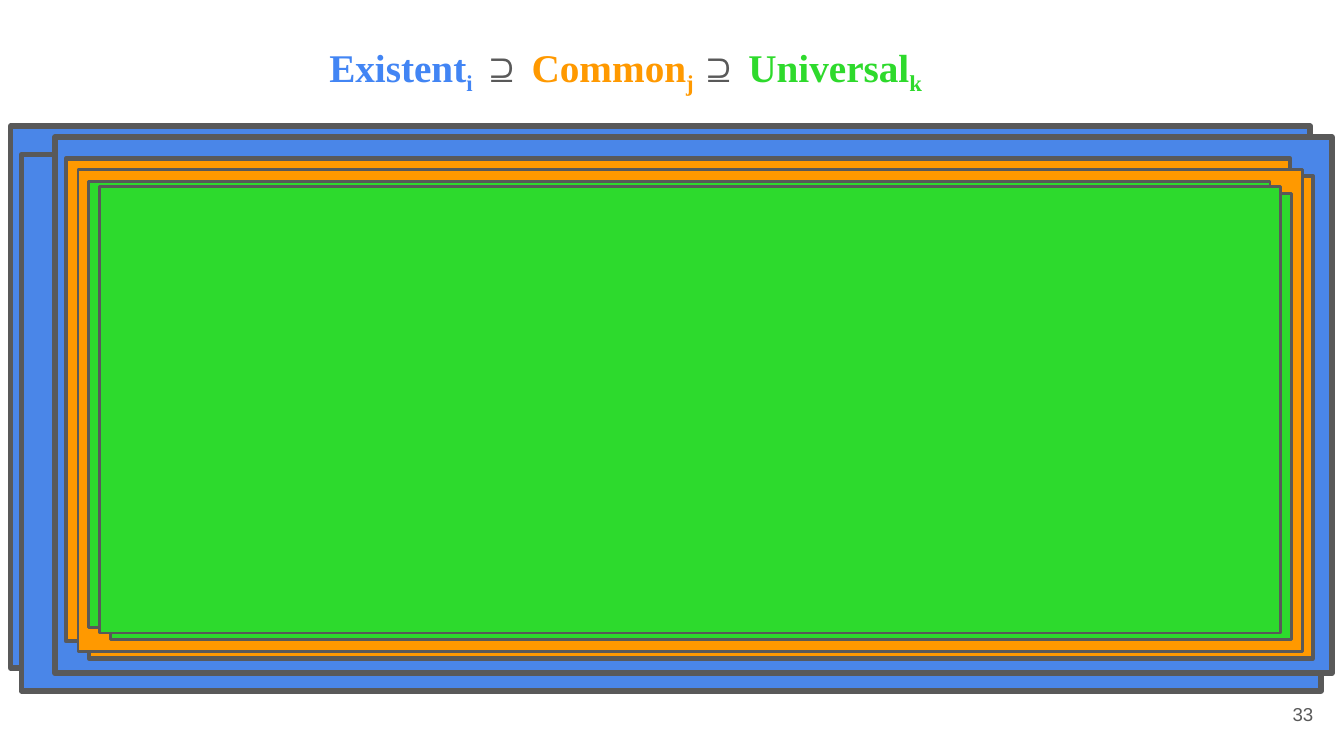
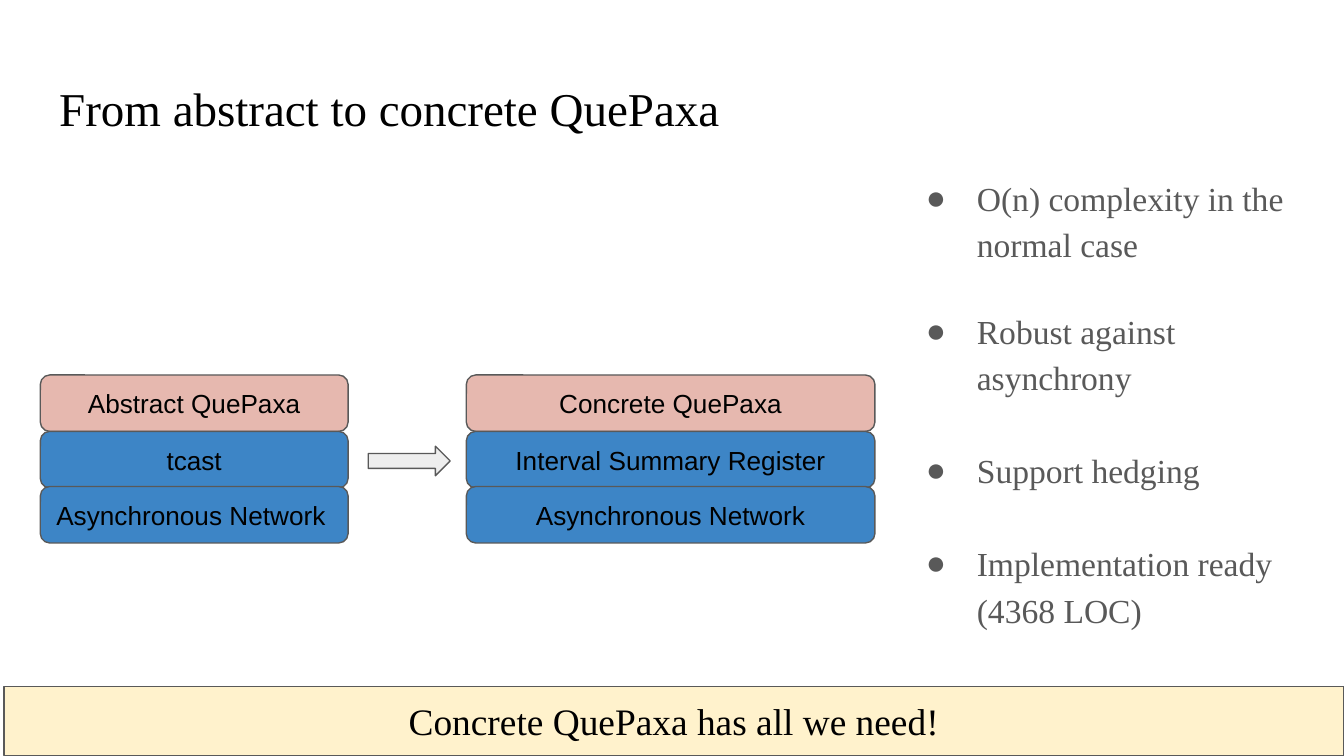
from lxml import etree
from pptx import Presentation
from pptx.dml.color import RGBColor
from pptx.enum.shapes import MSO_SHAPE as SHAPE
from pptx.enum.text import MSO_ANCHOR as ANCHOR, MSO_AUTO_SIZE as AUTO, PP_ALIGN as ALIGN
from pptx.oxml.ns import qn
from pptx.util import Pt

PX = 9144  # 100 px to the inch
SERIF, SANS = "Times New Roman", "Arial"
BLACK = RGBColor(0x00, 0x00, 0x00)
GREY = RGBColor(0x59, 0x59, 0x59)
PALE_GREY = RGBColor(0xEE, 0xEE, 0xEE)
CREAM = RGBColor(0xFF, 0xF2, 0xCC)
PINK = RGBColor(0xE6, 0xB8, 0xAF)
STACK_BLUE = RGBColor(0x3D, 0x85, 0xC6)
SET_BLUE = RGBColor(0x4A, 0x86, 0xE8)
SET_GREEN = RGBColor(0x2D, 0xDA, 0x2D)
ORANGE = RGBColor(0xFF, 0x99, 0x00)
TEXT_BLUE = RGBColor(0x42, 0x85, 0xF4)
TEXT_GREEN = RGBColor(0x2E, 0xDA, 0x2C)


def write(tf, text, size, font=SERIF, color=BLACK, bold=None, sub=False,
          align=ALIGN.LEFT, anchor=ANCHOR.TOP):
    """Append a run to the last paragraph and set up the frame around it."""
    tf.word_wrap, tf.auto_size, tf.vertical_anchor = True, AUTO.NONE, anchor
    tf.margin_left = tf.margin_right = tf.margin_top = tf.margin_bottom = 10 * PX
    p = tf.paragraphs[-1]
    p.alignment = align
    for i, line in enumerate(text.split("\n")):
        if i:
            p.add_line_break()
        r = p.add_run()
        r.text = line
        r.font.size, r.font.name, r.font.bold = Pt(size), font, bold
        r.font.color.rgb = color
        if sub:
            r.font._element.set("baseline", "-25000")


def add_box(s, kind, x, y, w, h, fill, line=0.75):
    sp = s.shapes.add_shape(kind, x * PX, y * PX, w * PX, h * PX)
    sp.shadow.inherit = False
    sp.fill.solid()
    sp.fill.fore_color.rgb = fill
    sp.line.color.rgb = GREY
    sp.line.width = Pt(line)
    return sp


prs = Presentation()
prs.slide_width = 1000 * PX
prs.slide_height = prs.slide_width * 9 // 16
title_only = prs.slide_layouts[5]

# Slide 1: nested sets
s = prs.slides.add_slide(title_only)
title = s.shapes.title
title.left, title.top, title.width, title.height = 185 * PX, 16 * PX, 817 * PX, 56 * PX
tf = title.text_frame
for text, color, sub in [
    ("Existent", TEXT_BLUE, False), ("i", TEXT_BLUE, True), (" ⊇ ", GREY, False),
    ("Common", ORANGE, False), ("j ", ORANGE, True), ("⊇ ", GREY, False),
    ("Universal", TEXT_GREEN, False), ("k", TEXT_GREEN, True),
]:
    write(tf, text, 21, color=color, bold=True, sub=sub)
p = tf.paragraphs[0]
p.line_spacing = 1.15
p.space_after = Pt(12)
pPr = p._p.get_or_add_pPr()
pPr.set("marL", str(50 * PX))
pPr.set("indent", "0")

number = s.shapes.add_textbox(927 * PX, 510 * PX, 60 * PX, 43 * PX)
write(number.text_frame, "33", 10, SANS, GREY, align=ALIGN.RIGHT, anchor=ANCHOR.MIDDLE)

nested_sets = [
    (SET_BLUE, [(8, 94, 967, 403, 3), (16, 115, 967, 399, 3), (41, 102, 950, 399, 3)]),
    (ORANGE, [(49, 118, 911, 359, 2.25), (66, 131, 911, 359, 2.25), (58, 126, 911, 359, 1.5)]),
    (SET_GREEN, [(66, 135, 879, 332, 1.5), (82, 144, 879, 332, 1.5), (74, 139, 879, 332, 1.5)]),
]
for fill, members in nested_sets:
    for x, y, w, h, line in members:
        add_box(s, SHAPE.RECTANGLE, x, y, w, h, fill, line)

# Slide 2: protocol stacks
s = prs.slides.add_slide(title_only)
title = s.shapes.title
title.left, title.top, title.width, title.height = 34 * PX, 49 * PX, 932 * PX, 63 * PX
write(title.text_frame, "From abstract to concrete QuePaxa", 25.2)

layer_tops = [279, 321, 362]
stacks = [
    (30, 229, ["Abstract QuePaxa", "tcast", "Asynchronous Network"]),
    (347, 304, ["Concrete QuePaxa", "Interval Summary Register", "Asynchronous Network"]),
]
for x, w, layers in stacks:
    for i, (name, y) in enumerate(zip(layers, layer_tops)):
        sp = add_box(s, SHAPE.ROUNDED_RECTANGLE, x, y, w, 42, STACK_BLUE if i else PINK)
        flush_left = x == 30 and i == 2
        write(sp.text_frame, name, 14, SANS, anchor=ANCHOR.MIDDLE,
              align=ALIGN.LEFT if flush_left else ALIGN.CENTER)
add_box(s, SHAPE.RIGHT_ARROW, 274, 332, 61, 22, PALE_GREY)

benefits = [  # text, space before in points
    ("O(n) complexity in the normal case", 0),
    ("Robust against asynchrony", 21.5),
    ("Support hedging", 25),
    ("Implementation ready\n(4368 LOC)", 25),
]
tf = s.shapes.add_textbox(667 * PX, 118 * PX, 326 * PX, 379 * PX).text_frame
for i, (benefit, gap) in enumerate(benefits):
    p = tf.add_paragraph() if i else tf.paragraphs[0]
    pPr = p._p.get_or_add_pPr()
    pPr.set("marL", str(50 * PX))
    pPr.set("indent", str(-38 * PX))
    bullet_color = etree.SubElement(pPr, qn("a:buClr"))
    etree.SubElement(bullet_color, qn("a:srgbClr")).set("val", str(GREY))
    etree.SubElement(pPr, qn("a:buFont")).set("typeface", SERIF)
    etree.SubElement(pPr, qn("a:buChar")).set("char", "●")
    p.line_spacing = 1.15
    if gap:
        p.space_before = Pt(gap)
    write(tf, benefit, 18, color=GREY)

banner = add_box(s, SHAPE.RECTANGLE, 3, 511, 997, 51, CREAM)
write(banner.text_frame, "Concrete QuePaxa has all we need!", 20,
      align=ALIGN.CENTER, anchor=ANCHOR.MIDDLE)

prs.save("out.pptx")
